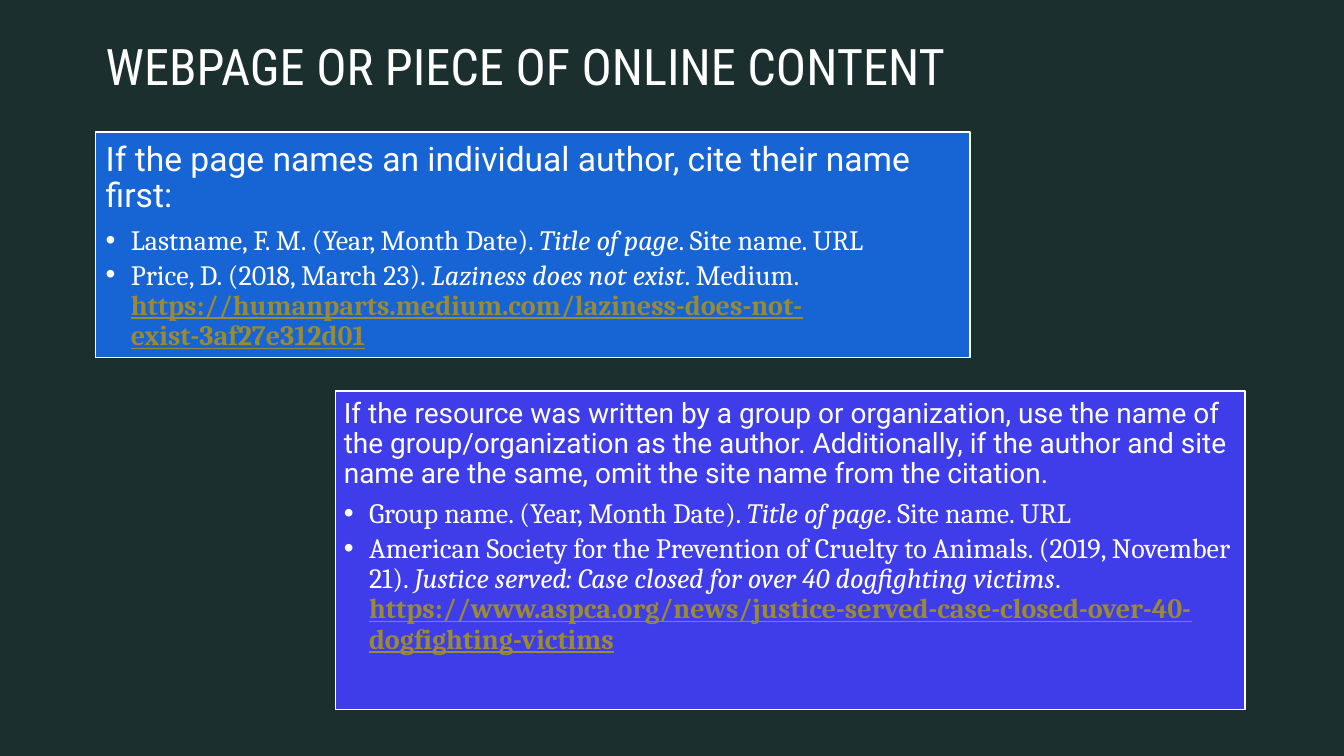
from pptx import Presentation
from pptx.dml.color import RGBColor
from pptx.enum.shapes import MSO_SHAPE as Shape
from pptx.enum.text import MSO_ANCHOR as Anchor, PP_ALIGN as Align
from pptx.oxml.ns import qn
from pptx.util import Inches, Pt
from lxml import etree

WHITE, GOLD = "FFFFFF", "998A33"


def color(code):
    return RGBColor.from_string(code)


def write(para, text, size=20, face="Cambria", tone=WHITE,
          bold=False, slant=False, line=False):
    run = para.add_run()
    run.text = text
    font = run.font
    font.size, font.name = Pt(size), face
    font.bold, font.italic, font.underline = bold, slant, line
    font.color.rgb = color(tone)


def bullet(para):
    props = para._p.get_or_add_pPr()
    props.set("marL", str(Inches(0.25)))
    props.set("indent", str(-Inches(0.25)))
    mark = etree.SubElement(props, qn("a:buFont"))
    mark.set("typeface", "Arial")
    etree.SubElement(props, qn("a:buChar")).set("char", "•")


def setup(frame, inset):
    frame.word_wrap = True
    frame.vertical_anchor = Anchor.TOP
    frame.margin_left = frame.margin_right = Inches(inset)
    frame.margin_top = frame.margin_bottom = Inches(inset)


def title(slide, box, text):
    frame = slide.shapes.add_textbox(*map(Inches, box)).text_frame
    setup(frame, 0.1)
    frame.margin_top = frame.margin_bottom = Inches(0.05)
    write(frame.paragraphs[0], text, size=36, face="Roboto Condensed")


def panel(slide, box, fill, head, size, inset, cites):
    # Filled card
    card = slide.shapes.add_shape(Shape.RECTANGLE, *map(Inches, box))
    card.shadow.inherit = False
    card.fill.solid()
    card.fill.fore_color.rgb = color(fill)
    card.line.color.rgb = color(WHITE)
    card.line.width = Pt(1)
    frame = card.text_frame
    setup(frame, inset)

    # Heading
    para = frame.paragraphs[0]
    para.alignment, para.line_spacing = Align.LEFT, 0.9
    para.space_after = Pt(0.35 * size)
    write(para, head, size=size, face="Roboto")

    # Citations: lead, work title, site, link
    for lead, work, site, link in cites:
        para = frame.add_paragraph()
        para.alignment, para.line_spacing = Align.LEFT, 0.9
        para.space_after = Pt(3)
        bullet(para)
        write(para, lead)
        write(para, work, slant=True)
        write(para, site)
        if link:
            write(para, link, tone=GOLD, bold=True, line=True)


def main():
    deck = Presentation()
    deck.slide_width, deck.slide_height = Inches(13.33), Inches(7.5)
    slide = deck.slides.add_slide(deck.slide_layouts[6])
    back = slide.background.fill
    back.solid()
    back.fore_color.rgb = color("1B2F2F")

    title(slide, (0.95, 0.3, 12.38, 1.01), "WEBPAGE OR PIECE OF ONLINE CONTENT")

    # Individual author
    panel(slide, (0.95, 1.31, 8.67, 2.24), "1764D5",
          "If the page names an individual author, cite their name first:",
          24, 0.1, [
              ("Lastname, F. M. (Year, Month Date). ", "Title of page",
               ". Site name. URL", ""),
              ("Price, D. (2018, March 23). ", "Laziness does not exist",
               ". Medium. ",
               "https://humanparts.medium.com/laziness-does-not-exist-3af27e312d01"),
          ])

    # Group author
    panel(slide, (3.33, 3.88, 9.02, 3.16), "3F3DE9",
          "If the resource was written by a group or organization, use the name "
          "of the group/organization as the author. Additionally, if the author "
          "and site name are the same, omit the site name from the citation.",
          20, 0.08, [
              ("Group name. (Year, Month Date). ", "Title of page",
               ". Site name. URL", ""),
              ("American Society for the Prevention of Cruelty to Animals. "
               "(2019, November 21). ",
               "Justice served: Case closed for over 40 dogfighting victims",
               ". ",
               "https://www.aspca.org/news/"
               "justice-served-case-closed-over-40-dogfighting-victims"),
          ])

    deck.save("out.pptx")


if __name__ == "__main__":
    main()
